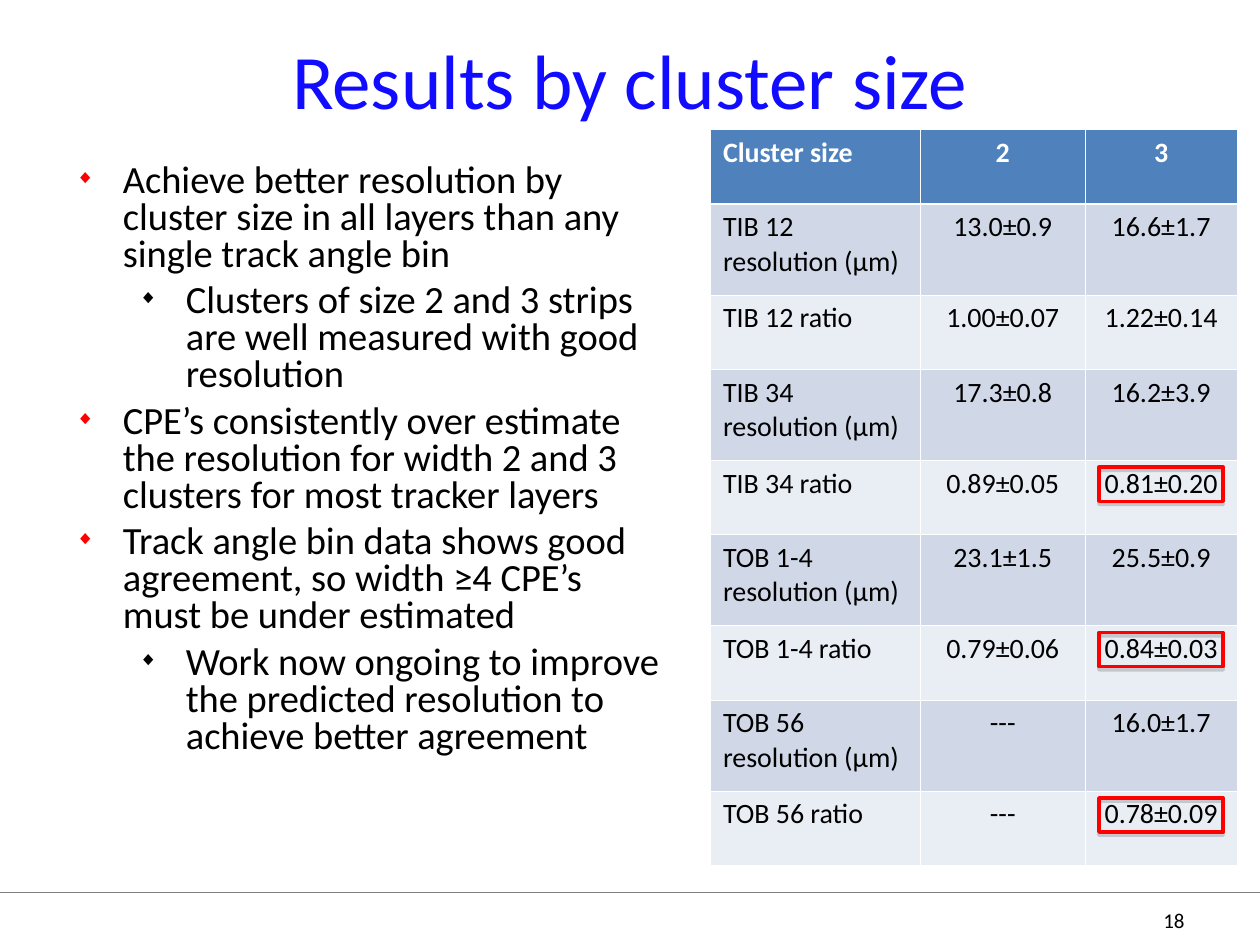
"""Build the slide of resolution results by cluster size."""
from dataclasses import dataclass
from typing import Any, NamedTuple

from lxml import etree
from pptx import Presentation
from pptx import util as u
from pptx.dml.color import RGBColor
from pptx.enum import shapes, text
from pptx.oxml import parse_xml
from pptx.oxml.ns import nsdecls, qn

Pt = u.Pt


@dataclass(frozen=True)
class Theme:
    """Colours, font and type sizes of the slide."""
    font: str = "Calibri"
    title: str = "110BFF"
    ink: str = "000000"
    paper: str = "FFFFFF"
    accent: str = "FF0000"
    rule: str = "7F7F7F"
    shadow: str = "808080"
    header: str = "4F81BD"
    bands: tuple[str, str] = ("D0D8E8", "E9EDF4")
    title_size: float = 44
    body_size: float = 22
    table_size: float = 16
    number_size: float = 12


class Box(NamedTuple):
    """A frame in points."""
    left: float
    top: float
    width: float
    height: float


class Point(NamedTuple):
    """A bulleted statement and its outline level."""
    level: int
    wording: str


class Result(NamedTuple):
    """The measurements of one tracker layer for two cluster sizes."""
    layer: str
    resolutions: tuple[str, str]
    ratios: tuple[str, str]


THEME = Theme()
TITLE = Box(36, 0, 648, 90)
POINTS_BOX = Box(36, 90, 353.5, 420)
TABLE = Box(406, 74, 301, 420.5)
NUMBER = Box(516, 511, 168, 29)
RULE_Y = 510
COLUMNS = (120, 94, 87)
RATIO_ROW, RESOLUTION_ROW = 42.5, 52
RING = Box(628, 4, 71, 19.5)
HANG = 27

POINTS = (
    Point(0, "Achieve better resolution by cluster size in all layers than any single track angle bin"),
    Point(1, "Clusters of size 2 and 3 strips are well measured with good resolution"),
    Point(0, "CPE’s consistently over estimate the resolution for width 2 and 3 clusters for most tracker layers"),
    Point(0, "Track angle bin data shows good agreement, so width ≥4 CPE’s must be under estimated"),
    Point(1, "Work now ongoing to improve the predicted resolution to achieve better agreement"),
)
RESULTS = (
    Result("TIB 12", ("13.0±0.9", "16.6±1.7"), ("1.00±0.07", "1.22±0.14")),
    Result("TIB 34", ("17.3±0.8", "16.2±3.9"), ("0.89±0.05", "0.81±0.20")),
    Result("TOB 1-4", ("23.1±1.5", "25.5±0.9"), ("0.79±0.06", "0.84±0.03")),
    Result("TOB 56", ("---", "16.0±1.7"), ("---", "0.78±0.09")),
)
RINGED_LAYERS = ("TIB 34", "TOB 1-4", "TOB 56")


def apply_format(target: Any, values: dict[str, Any]) -> None:
    """Set each named attribute on the target."""
    for name, value in values.items():
        setattr(target, name, value)


def place(shape: Any, box: Box) -> None:
    """Move and size a shape to a box."""
    apply_format(shape, {name: Pt(value) for name, value in box._asdict().items()})


def write(paragraph: Any, wording: str, size: float, colour: str,
          align: Any = text.PP_ALIGN.LEFT, bold: bool = False) -> None:
    """Put formatted wording in a paragraph."""
    paragraph.alignment = align
    run = paragraph.add_run()
    run.text = wording
    apply_format(run.font, {"name": THEME.font, "size": Pt(size), "bold": bold})
    run.font.color.rgb = RGBColor.from_string(colour)


def add_bullet(paragraph: Any, level: int) -> None:
    """Give a paragraph its hanging diamond bullet."""
    apply_format(paragraph, {"level": level, "line_spacing": 0.8, "space_before": Pt(5.5)})
    properties = paragraph._p.get_or_add_pPr()
    properties.set("marL", str(Pt(HANG + 36 * level)))
    properties.set("indent", str(Pt(-HANG)))
    colour = THEME.ink if level else THEME.accent
    for markup in (f'<a:buClr {nsdecls("a")}><a:srgbClr val="{colour}"/></a:buClr>',
                   f'<a:buSzPct {nsdecls("a")} val="50000"/>',
                   f'<a:buChar {nsdecls("a")} char="◆"/>'):
        properties.append(parse_xml(markup))


def add_points(body: Any) -> None:
    """Fill the body placeholder with the statements."""
    place(body, POINTS_BOX)
    frame = body.text_frame
    apply_format(frame, {"auto_size": text.MSO_AUTO_SIZE.NONE, "word_wrap": True})
    for index, point in enumerate(POINTS):
        paragraph = frame.add_paragraph() if index else frame.paragraphs[0]
        write(paragraph, point.wording, THEME.body_size, THEME.ink)
        add_bullet(paragraph, point.level)


def set_borders(cell: Any, widths: dict[str, float]) -> None:
    """Draw the four cell borders ahead of the cell fill."""
    properties = cell._tc.get_or_add_tcPr()
    for index, (side, width) in enumerate(widths.items()):
        properties.insert(index, parse_xml(
            f'<a:{side} {nsdecls("a")} w="{Pt(width)}"><a:solidFill>'
            f'<a:srgbClr val="{THEME.paper}"/></a:solidFill></a:{side}>'))


def add_results(slide: Any) -> None:
    """Add the table of resolutions and ratios."""
    rows = [("Cluster size", "2", "3")]
    for result in RESULTS:
        rows.append((f"{result.layer} resolution (μm)", *result.resolutions))
        rows.append((f"{result.layer} ratio", *result.ratios))
    table = slide.shapes.add_table(len(rows), len(COLUMNS), *map(Pt, TABLE)).table
    for column, width in zip(table.columns, COLUMNS):
        column.width = Pt(width)
    for index, row in enumerate(rows):
        header = index == 0
        table.rows[index].height = Pt(RESOLUTION_ROW if index % 2 else RATIO_ROW)
        fill = THEME.header if header else THEME.bands[(index - 1) % 2]
        widths = {"lnL": 0.45, "lnR": 0.45, "lnT": 1.47 if index == 1 else 0.45,
                  "lnB": 1.47 if header else 0.45}
        for column, wording in enumerate(row):
            cell = table.cell(index, column)
            cell.fill.solid()
            cell.fill.fore_color.rgb = RGBColor.from_string(fill)
            set_borders(cell, widths)
            write(cell.text_frame.paragraphs[0], wording, THEME.table_size,
                  THEME.paper if header else THEME.ink,
                  text.PP_ALIGN.CENTER if column else text.PP_ALIGN.LEFT, header)


def add_ring(slide: Any, layer_index: int) -> None:
    """Outline the size 3 ratio of a layer."""
    row_top = TABLE.top + (layer_index + 1) * (RATIO_ROW + RESOLUTION_ROW)
    frame = RING._replace(top=row_top + RING.top)
    ring = slide.shapes.add_shape(shapes.MSO_SHAPE.RECTANGLE, *map(Pt, frame))
    ring.fill.background()
    ring.line.color.rgb = RGBColor.from_string(THEME.accent)
    ring.line.width = Pt(2)
    ring.shadow.inherit = False
    effects = ring._element.spPr.find(qn("a:effectLst"))
    effects.append(parse_xml(
        f'<a:outerShdw {nsdecls("a")} blurRad="0" dist="{Pt(1.8)}" dir="5400000" '
        f'rotWithShape="0"><a:srgbClr val="{THEME.shadow}"><a:alpha val="35000"/>'
        '</a:srgbClr></a:outerShdw>'))


def add_footer(slide: Any, width: int) -> None:
    """Add the rule and the page number at the foot."""
    rule = slide.shapes.add_connector(shapes.MSO_CONNECTOR.STRAIGHT, 0, Pt(RULE_Y), width, Pt(RULE_Y))
    rule.line.color.rgb = RGBColor.from_string(THEME.rule)
    rule.line.width = Pt(1)
    etree.SubElement(rule._element.spPr, qn("a:effectLst"))
    number = slide.shapes.add_textbox(*map(Pt, NUMBER)).text_frame
    apply_format(number, {"word_wrap": True, "vertical_anchor": text.MSO_ANCHOR.MIDDLE})
    write(number.paragraphs[0], "18", THEME.number_size, THEME.ink, text.PP_ALIGN.RIGHT)


def main() -> None:
    """Build and save the slide."""
    deck = Presentation()
    apply_format(deck, {"slide_width": Pt(720), "slide_height": Pt(540)})
    slide = deck.slides.add_slide(deck.slide_layouts[1])
    title, body = slide.placeholders
    place(title, TITLE)
    apply_format(title.text_frame, {"auto_size": text.MSO_AUTO_SIZE.NONE,
                                    "vertical_anchor": text.MSO_ANCHOR.MIDDLE})
    write(title.text_frame.paragraphs[0], "Results by cluster size",
          THEME.title_size, THEME.title, text.PP_ALIGN.CENTER)
    add_footer(slide, deck.slide_width)
    add_points(body)
    add_results(slide)
    for index, result in enumerate(RESULTS):
        if result.layer in RINGED_LAYERS:
            add_ring(slide, index)
    deck.save("out.pptx")


if __name__ == "__main__":
    main()
